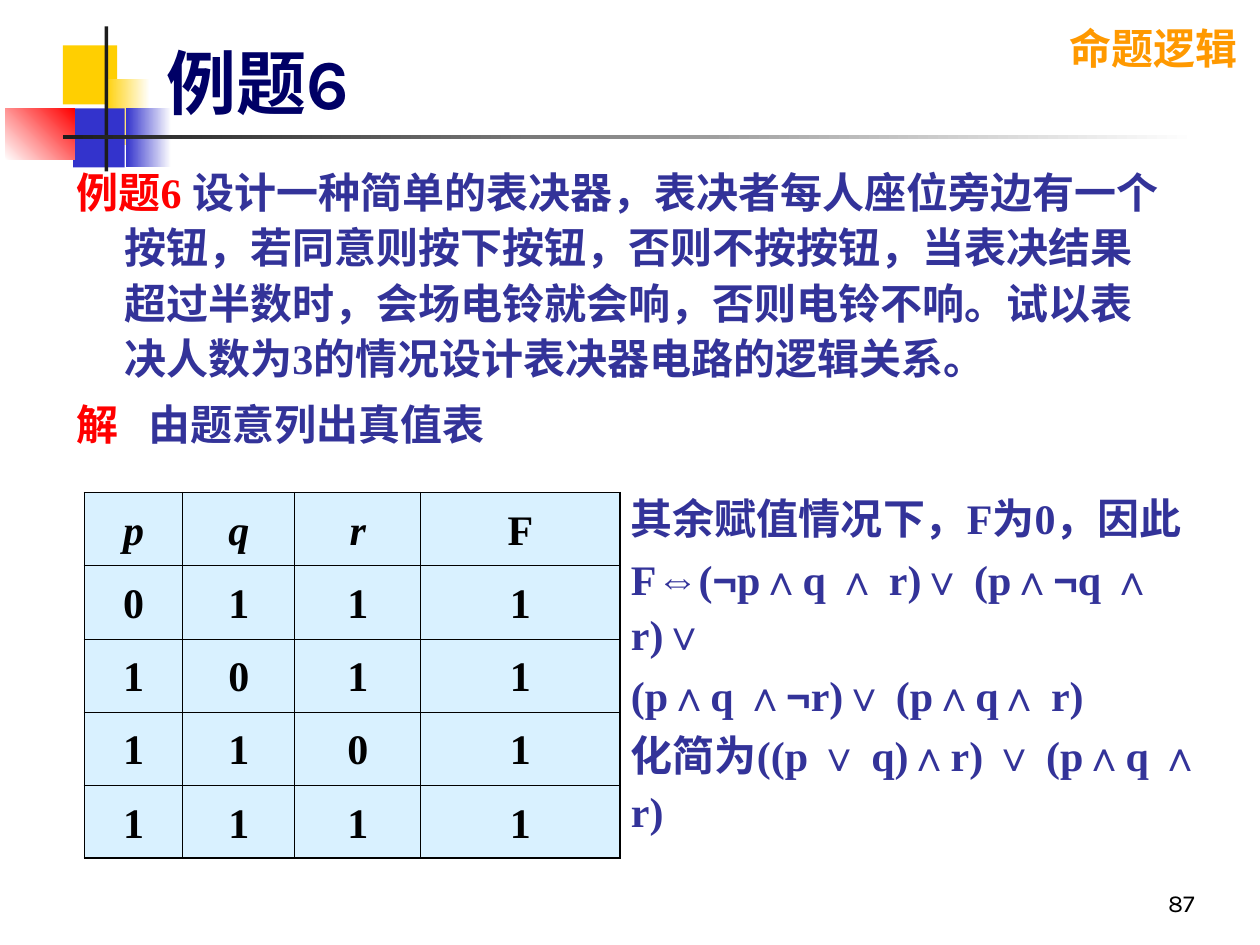
import itertools
import pptx
import pptx.util
import pptx.dml.color
import pptx.enum.shapes
import pptx.enum.text
import pptx.oxml
import pptx.oxml.ns

Inches = pptx.util.Inches
Pt = pptx.util.Pt
Align = pptx.enum.text.PP_ALIGN
Anchor = pptx.enum.text.MSO_ANCHOR

HEADING_FONT, BODY_FONT, SYMBOL_FONT = "Karla", "Times New Roman", "Arial"
SYMBOLS = "⇔¬∧∨"
RED, INDIGO, BLACK, WHITE = "FF0000", "333399", "000000", "FFFFFF"
GOLD, BLUE, CHARCOAL = "FFCF01", "3333CC", "1C1C1C"

DECORATIONS = [
    ((0.5, 0.36, 0.43, 0.47), [GOLD], 0),
    ((0.83, 0.63, 0.36, 0.52), [GOLD, WHITE], 0),
    ((0.58, 0.86, 0.41, 0.47), [BLUE], 0),
    ((1, 0.86, 0.36, 0.47), [BLUE, WHITE], 0),
    ((0.04, 0.86, 0.55, 0.41), [WHITE, RED], 45),
    ((0.83, 0.21, 0.03, 1.15), [CHARCOAL], 0),
    ((0.5, 1.07, 9, 0.03), [CHARCOAL, WHITE], 0),
]
PROBLEM = [
    ("例题6 ", RED),
    ("设计一种简单的表决器，表决者每人座位旁边有一个按钮，若同意则按下按钮，"
     "否则不按按钮，当表决结果超过半数时，会场电铃就会响，否则电铃不响。"
     "试以表决人数为3的情况设计表决器电路的逻辑关系。", INDIGO),
]
SOLUTION = [("解", RED), ("\t由题意列出真值表", INDIGO)]
TRUTH_TABLE = ["pqrF", "0111", "1011", "1101", "1111"]
COLUMN_WIDTHS = [0.78, 0.89, 1, 1.58]
ROW_HEIGHT = 0.58
CONCLUSION = [
    "其余赋值情况下，F为0，因此",
    "F⇔(¬p∧q ∧ r)∨ (p∧¬q ∧ r)∨",
    "(p∧q ∧¬r)∨ (p∧q∧ r)",
    "化简为((p ∨ q)∧r) ∨ (p∧q ∧ r)",
]


def rgb(value):
    return pptx.dml.color.RGBColor.from_string(value)


def apply(target, values):
    for name, value in values.items():
        setattr(target, name, value)


def add_run(paragraph, text, color, size=24, font=BODY_FONT, bold=True, italic=False):
    run = paragraph.add_run()
    run.text = text
    apply(run.font, {"name": font, "size": Pt(size), "bold": bold, "italic": italic})
    run.font.color.rgb = rgb(color)


def add_text(slide, box, wrap=True, anchor=Anchor.TOP):
    frame = slide.shapes.add_textbox(*map(Inches, box)).text_frame
    apply(frame, {"word_wrap": wrap, "vertical_anchor": anchor})
    return frame


def next_paragraph(frame, index, **values):
    paragraph = frame.add_paragraph() if index else frame.paragraphs[0]
    apply(paragraph, values)
    return paragraph


def add_decoration(slide, box, colors, angle):
    block = slide.shapes.add_shape(
        pptx.enum.shapes.MSO_SHAPE.RECTANGLE, *map(Inches, box))
    block.shadow.inherit = False
    block.line.fill.background()
    if len(colors) == 1:
        block.fill.solid()
        block.fill.fore_color.rgb = rgb(colors[0])
        return
    block.fill.gradient()
    block.fill.gradient_angle = angle
    for position, (stop, color) in enumerate(zip(block.fill.gradient_stops, colors)):
        stop.position = position
        stop.color.rgb = rgb(color)


def add_borders(cell, outer_sides):
    properties = cell._tc.get_or_add_tcPr()
    for side, outer in zip("LRTB", outer_sides):
        width = Pt(1.08 if outer else 0.45)
        properties.append(pptx.oxml.parse_xml(
            f'<a:ln{side} {pptx.oxml.ns.nsdecls("a")} w="{width}"><a:solidFill>'
            f'<a:srgbClr val="{BLACK}"/></a:solidFill></a:ln{side}>'))


def add_truth_table(slide):
    rows, columns = len(TRUTH_TABLE), len(COLUMN_WIDTHS)
    table = slide.shapes.add_table(
        rows, columns, Inches(0.67), Inches(3.91),
        Inches(sum(COLUMN_WIDTHS)), Inches(rows * ROW_HEIGHT)).table
    apply(table, {"first_row": False, "horz_banding": False})
    for column, width in zip(table.columns, COLUMN_WIDTHS):
        column.width = Inches(width)
    for r, values in enumerate(TRUTH_TABLE):
        table.rows[r].height = Inches(ROW_HEIGHT)
        for c, value in enumerate(values):
            cell = table.cell(r, c)
            apply(cell, {"margin_left": Inches(0.1), "margin_right": Inches(0.1),
                         "margin_top": Inches(0.05), "margin_bottom": Inches(0.05)})
            add_borders(cell, (c == 0, c == columns - 1, r == 0, r == rows - 1))
            cell.fill.solid()
            cell.fill.fore_color.rgb = rgb("D9F1FF")
            paragraph = next_paragraph(cell.text_frame, 0, alignment=Align.CENTER,
                                       line_spacing=1.2, space_before=Pt(6))
            add_run(paragraph, value, BLACK, italic=value in "pqr")


def main():
    deck = pptx.Presentation()
    apply(deck, {"slide_width": Inches(10), "slide_height": Inches(7.5)})
    slide = deck.slides.add_slide(deck.slide_layouts[5])

    for decoration in DECORATIONS:
        add_decoration(slide, *decoration)

    chapter = add_text(slide, (8.39, 0.13, 1.53, 0.5), wrap=False)
    add_run(chapter.paragraphs[0], "命题逻辑", "FF9900", font=HEADING_FONT)

    title = slide.shapes.title
    apply(title, {"left": Inches(1.22), "top": Inches(0.21),
                  "width": Inches(8.27), "height": Inches(0.82)})
    apply(title.text_frame, {"vertical_anchor": Anchor.BOTTOM,
                             "auto_size": pptx.enum.text.MSO_AUTO_SIZE.NONE})
    heading = next_paragraph(title.text_frame, 0, alignment=Align.LEFT)
    add_run(heading, "例题6", "000066", size=40, font=HEADING_FONT)

    exercise = add_text(slide, (0.51, 1.23, 8.9, 2.52))
    for index, parts in enumerate([PROBLEM, SOLUTION]):
        paragraph = next_paragraph(exercise, index, line_spacing=1.1, space_before=Pt(6))
        for text, color in parts:
            add_run(paragraph, text, color)
    hanging = exercise.paragraphs[0]._p.get_or_add_pPr()
    hanging.set("marL", str(Inches(0.38)))
    hanging.set("indent", str(-Inches(0.38)))
    exercise.paragraphs[1]._p.get_or_add_pPr().append(pptx.oxml.parse_xml(
        f'<a:tabLst {pptx.oxml.ns.nsdecls("a")}>'
        f'<a:tab pos="{Inches(0.57)}" algn="l"/></a:tabLst>'))

    add_truth_table(slide)

    conclusion = add_text(slide, (4.91, 3.82, 4.9, 1.99))
    for index, line in enumerate(CONCLUSION):
        paragraph = next_paragraph(conclusion, index, line_spacing=1.1, space_before=Pt(3))
        for is_symbol, letters in itertools.groupby(line, lambda mark: mark in SYMBOLS):
            add_run(paragraph, "".join(letters), INDIGO,
                    font=SYMBOL_FONT if is_symbol else BODY_FONT)

    page = add_text(slide, (7.5, 6.83, 2.08, 0.5), anchor=Anchor.BOTTOM)
    number = next_paragraph(page, 0, alignment=Align.RIGHT)
    add_run(number, "87", BLACK, size=14, font=HEADING_FONT, bold=False)

    deck.save("out.pptx")


if __name__ == "__main__":
    main()
